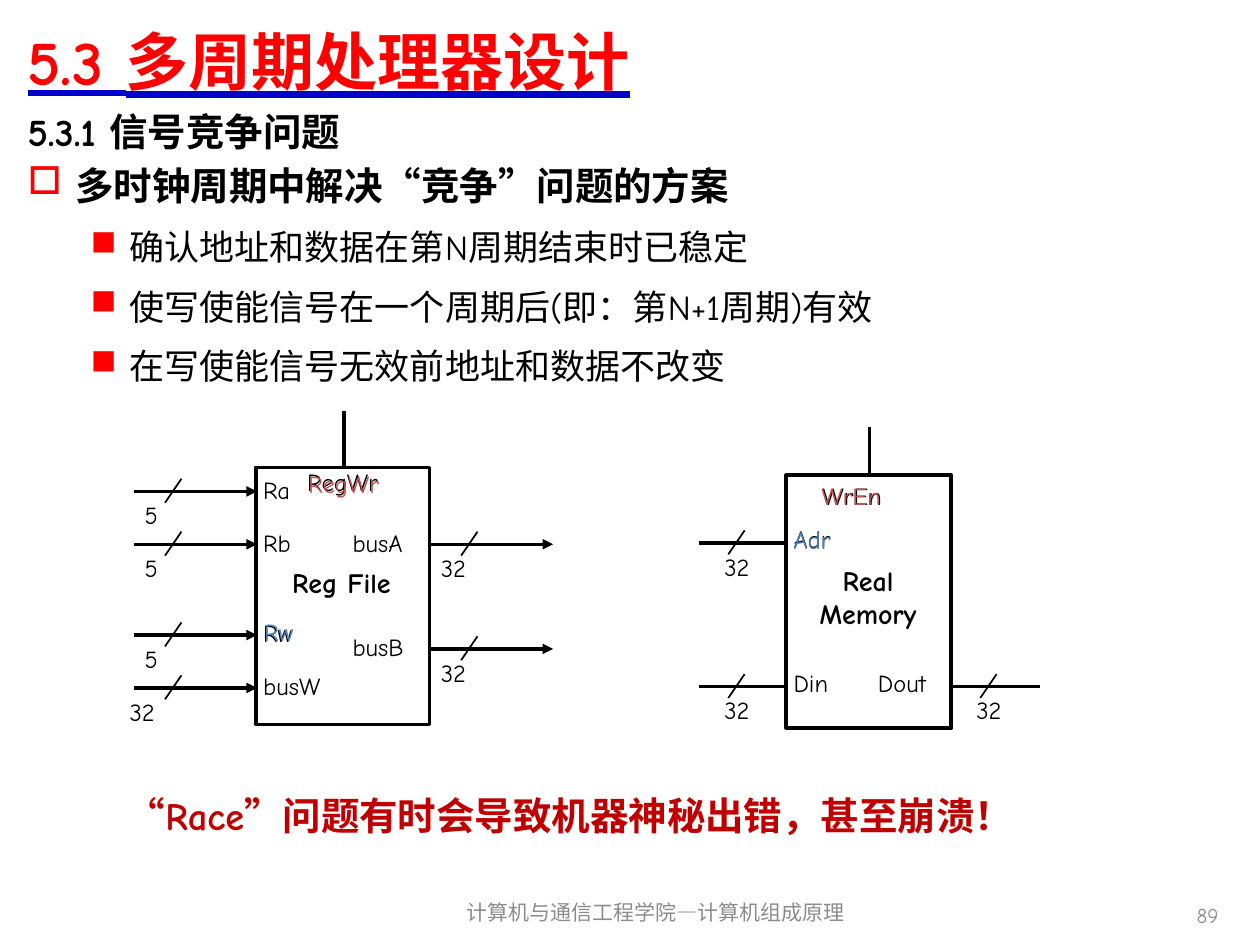
import pptx
import pptx.util
import pptx.dml.color
import pptx.enum.shapes
import pptx.enum.text
import pptx.enum.lang
import pptx.oxml
import pptx.oxml.ns
from dataclasses import dataclass
from lxml import etree

Inches, Pt = pptx.util.Inches, pptx.util.Pt
Align = pptx.enum.text.PP_ALIGN
Anchor = pptx.enum.text.MSO_ANCHOR


@dataclass(frozen=True)
class Theme:
    font: str = "Comic Neue"
    bullet_font: str = "Wingdings"
    hollow_square: str = "o"  # character codes within the bullet font
    solid_square: str = "n"
    black: str = "000000"
    red: str = "FF0000"
    underline: str = "0000CC"
    gray: str = "8C8C8C"
    address: str = "4F81BD"
    enable: str = "C0504D"
    warning: str = "C00000"
    title: int = 36
    heading: int = 22
    point: int = 20
    block: int = 16
    label: int = 14
    footer: int = 12
    thick: int = 2
    thin: int = 1


def rgb(color):
    return pptx.dml.color.RGBColor.from_string(color)


def add_xml(parent, tag, **attributes):
    return etree.SubElement(parent, pptx.oxml.ns.qn(tag), attributes)


class SlideWriter:
    def __init__(self, page, theme):
        self.page = page
        self.theme = theme

    def box(self, left, top, width, height, wrap=True, anchor=Anchor.TOP):
        box = self.page.shapes.add_textbox(
            Inches(left), Inches(top), Inches(width), Inches(height))
        box.text_frame.word_wrap = wrap
        box.text_frame.vertical_anchor = anchor
        return box.text_frame

    def span(self, para, text, size, color, bold=False):
        span = para.add_run()
        span.text = text
        font = span.font
        font.name, font.size, font.bold = self.theme.font, Pt(size), bold
        font.color.rgb = rgb(color)
        font.language_id = pptx.enum.lang.MSO_LANGUAGE_ID.SIMPLIFIED_CHINESE
        return span

    def text(self, place, lines, size, color, bold=False, align=Align.LEFT,
             wrap=True, anchor=Anchor.TOP):
        frame = self.box(*place, wrap=wrap, anchor=anchor)
        for index, line in enumerate(lines):
            para = frame.paragraphs[0] if index == 0 else frame.add_paragraph()
            para.alignment = align
            self.span(para, line, size, color, bold)
        return frame

    def bullet(self, para, char, margin, hanging):
        props = para._p.get_or_add_pPr()
        props.set("marL", str(Inches(margin)))
        props.set("indent", str(-Inches(hanging)))
        color = add_xml(props, "a:buClr")
        add_xml(color, "a:srgbClr", val=self.theme.red)
        add_xml(props, "a:buFont", typeface=self.theme.bullet_font,
                pitchFamily="2", charset="2")
        add_xml(props, "a:buChar", char=char)

    def label(self, text, left, top, width, color=None):
        self.text((left, top, width, 0.33), [text], self.theme.label,
                  color or self.theme.black, wrap=False)

    def block(self, left, top, width, height):
        block = self.page.shapes.add_shape(
            pptx.enum.shapes.MSO_SHAPE.RECTANGLE,
            Inches(left), Inches(top), Inches(width), Inches(height))
        block.shadow.inherit = False
        block.fill.background()
        block.line.color.rgb = rgb(self.theme.black)
        block.line.width = Pt(self.theme.thick)

    def line(self, x1, y1, x2, y2, weight, arrow=False):
        line = self.page.shapes.add_connector(
            pptx.enum.shapes.MSO_CONNECTOR.STRAIGHT,
            Inches(x1), Inches(y1), Inches(x2), Inches(y2))
        line.line.color.rgb = rgb(self.theme.black)
        line.line.width = Pt(weight)
        if arrow:
            add_xml(line.line._get_or_add_ln(), "a:tailEnd", type="triangle")
        add_xml(line._element.spPr, "a:effectLst")

    def bus(self, start, end, y, slash, bits, bits_left, bits_width, arrow=False):
        """A wire with a slash across it and its width in bits below."""
        self.line(start, y, end, y, self.theme.thick, arrow)
        self.line(slash + 0.13, y - 0.1, slash, y + 0.09, self.theme.thin)
        self.label(bits, bits_left, y + 0.02, bits_width)


def main():
    deck = pptx.Presentation()
    deck.slide_width, deck.slide_height = Inches(10), Inches(7.5)
    theme = Theme()
    writer = SlideWriter(deck.slides.add_slide(deck.slide_layouts[6]), theme)

    # Title with a heavy blue underline
    title = writer.text((0.12, 0.05, 9.69, 0.85), ["5.3 多周期处理器设计"],
                        theme.title, theme.red, bold=True, anchor=Anchor.MIDDLE)
    font = title.paragraphs[0].runs[0].font
    font.underline = pptx.enum.text.MSO_UNDERLINE.HEAVY_LINE
    fill = pptx.oxml.parse_xml(
        f'<a:uFill {pptx.oxml.ns.nsdecls("a")}><a:solidFill>'
        f'<a:srgbClr val="{theme.underline}"/></a:solidFill></a:uFill>')
    font._element.find(pptx.oxml.ns.qn("a:latin")).addprevious(fill)

    # Section heading and bullets
    body = writer.text((0.12, 0.81, 9.69, 6.23), ["5.3.1 信号竞争问题"],
                       theme.heading, theme.black, bold=True)
    para = body.add_paragraph()
    para.space_before = Pt(4.4)
    writer.bullet(para, theme.hollow_square, 0.38, 0.38)
    writer.span(para, "多时钟周期中解决“竞争”问题的方案",
                theme.heading, theme.black, bold=True)
    for point in ("确认地址和数据在第N周期结束时已稳定",
                  "使写使能信号在一个周期后(即：第N+1周期)有效",
                  "在写使能信号无效前地址和数据不改变"):
        para = body.add_paragraph()
        para.level = 1
        para.line_spacing, para.space_before = Pt(30), Pt(4)
        writer.bullet(para, theme.solid_square, 0.81, 0.31)
        writer.span(para, point, theme.point, theme.black)

    # Footer and page number
    writer.text((3.35, 7.04, 3.71, 0.4), ["计算机与通信工程学院—计算机组成原理"],
                theme.footer, theme.gray, align=Align.CENTER, anchor=Anchor.MIDDLE)
    writer.text((7.44, 7.06, 2.33, 0.4), ["89"],
                theme.footer, theme.gray, align=Align.RIGHT, anchor=Anchor.MIDDLE)

    # Register file
    writer.block(2.03, 3.71, 1.38, 2.04)
    writer.text((2.02, 4.44, 1.38, 0.36), ["Reg File"], theme.block,
                theme.black, bold=True, align=Align.CENTER)
    for name, y, width, bits, bits_left, bits_width in (
            ("Ra", 3.9, 0.42, "5", 1.05, 0.32),
            ("Rb", 4.32, 0.44, "5", 1.05, 0.32),
            ("Rw", 5.04, 0.46, "5", 1.05, 0.32),
            ("busW", 5.46, 0.72, "32", 0.93, 0.44)):
        writer.label(name, 1.99, y - 0.18, width)
        writer.bus(1.06, 2.04, y, 1.31, bits, bits_left, bits_width, arrow=True)
    for name, y, width in (("busA", 4.32, 0.66), ("busB", 5.15, 0.64)):
        writer.label(name, 2.7, y - 0.18, width)
        writer.bus(3.41, 4.39, y, 3.66, "32", 3.4, 0.44, arrow=True)
    writer.line(2.73, 3.71, 2.73, 3.26, theme.thick)
    writer.label("RegWr", 2.34, 3.66, 0.83)

    # Memory
    writer.block(6.24, 3.77, 1.31, 2.01)
    writer.text((6.21, 4.42, 1.36, 0.63), ["Real", "Memory"], theme.block,
                theme.black, bold=True, align=Align.CENTER)
    for name, left, width, y, start in (("Adr", 6.2, 0.55, 4.31, 5.55),
                                        ("Din", 6.2, 0.5, 5.45, 5.55),
                                        ("Dout", 6.87, 0.64, 5.45, 7.55)):
        writer.label(name, left, y - 0.2, width)
        writer.bus(start, start + 0.7, y, start + 0.23, "32", start + 0.1, 0.44)
    writer.line(6.9, 3.77, 6.9, 3.39, theme.thick)
    writer.label("WrEn", 6.43, 3.77, 0.72)

    # Coloured signals over their black labels
    writer.label("Rw", 2, 4.85, 0.46, theme.address)
    writer.label("Adr", 6.2, 4.12, 0.55, theme.address)
    writer.label("RegWr", 2.35, 3.67, 0.83, theme.enable)
    writer.label("WrEn", 6.42, 3.77, 0.72, theme.enable)

    # Warning
    warning = writer.text((0.91, 6.28, 7.03, 0.43),
                          ["“Race”问题有时会导致机器神秘出错，甚至崩溃！"],
                          theme.heading, theme.warning, bold=True)
    warning.paragraphs[0].line_spacing = 0.9

    deck.save("out.pptx")


if __name__ == "__main__":
    main()
